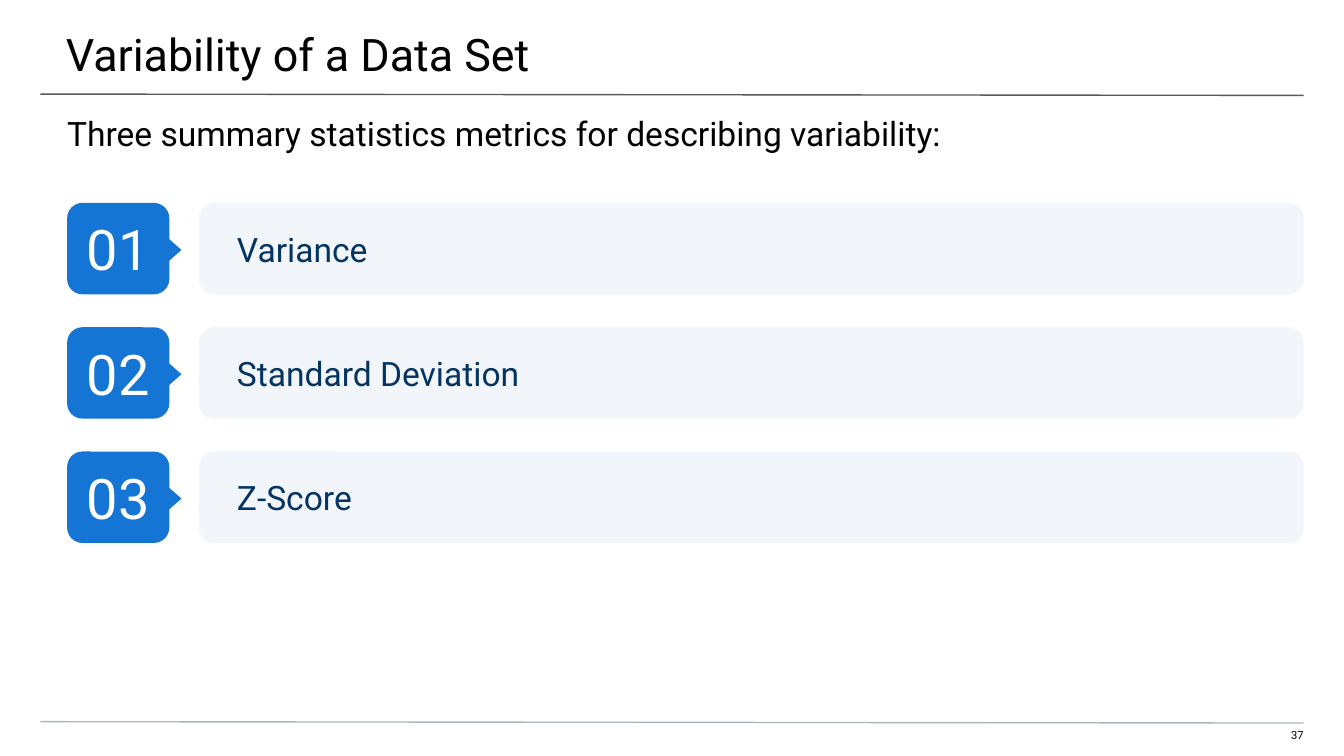
import pptx
import pptx.dml.color
import pptx.enum.shapes
import pptx.enum.text
import pptx.oxml.ns
import pptx.util
from lxml import etree

COLORS = {
    "black": "000000",
    "white": "FFFFFF",
    "title rule": "595959",
    "footer rule": "A9B7C0",
    "panel": "F2F5F9",
    "badge": "1475D4",
    "navy": "043461",
}
SHAPES = pptx.enum.shapes.MSO_SHAPE
ALIGN = pptx.enum.text.PP_ALIGN
ANCHOR = pptx.enum.text.MSO_ANCHOR
METRICS = ["Variance", "Standard Deviation", "Z-Score"]

# The grid has square cells, 100 columns by 56.25 rows.
COLUMNS, ROWS = 100, 56.25
LEFT, RIGHT = 5, 97
RULE_LEFT = 3
FIRST_ROW, ROW_STEP, ROW_HEIGHT = 15.1, 9.25, 6.8
BADGE_WIDTH = 7.6
PANEL_LEFT = 14.8
POINTER_LEFT, POINTER_WIDTH, POINTER_HEIGHT = 10.6, 3.7, 2.1


class SlideBuilder:
    font = "Roboto"
    cell = pptx.util.Inches(0.1)

    def __init__(self, presentation):
        presentation.slide_width = self.grid(COLUMNS)
        presentation.slide_height = self.grid(ROWS)
        self.slide = presentation.slides.add_slide(presentation.slide_layouts[6])

    def grid(self, cells):
        return pptx.util.Emu(round(cells * self.cell))

    def color(self, name):
        return pptx.dml.color.RGBColor.from_string(COLORS[name])

    def label(self, shape, text, size, color, insets, align=ALIGN.LEFT, anchor=ANCHOR.TOP):
        """Set styled text; insets are left, top, right, bottom in grid cells."""
        frame = shape.text_frame
        frame.word_wrap = True
        frame.vertical_anchor = anchor
        (frame.margin_left, frame.margin_top,
         frame.margin_right, frame.margin_bottom) = map(self.grid, insets)
        frame.text = text
        paragraph = frame.paragraphs[0]
        paragraph.alignment = align
        font = paragraph.runs[0].font
        font.name = self.font
        font.size = pptx.util.Pt(size)
        font.color.rgb = self.color(color)

    def text(self, box, text, size, insets, align=ALIGN.LEFT):
        shape = self.slide.shapes.add_textbox(*map(self.grid, box))
        self.label(shape, text, size, "black", insets, align)

    def rule(self, row, color):
        """Draw a full-width rule that drops slightly to the right."""
        ends = map(self.grid, (RULE_LEFT, row, RIGHT, row + 0.1))
        line = self.slide.shapes.add_connector(pptx.enum.shapes.MSO_CONNECTOR.STRAIGHT, *ends)
        line.line.color.rgb = self.color(color)
        line.line.width = pptx.util.Pt(0.75)
        etree.SubElement(line._element.spPr, pptx.oxml.ns.qn("a:effectLst"))

    def block(self, shapes, kind, box, color):
        shape = shapes.add_shape(kind, *map(self.grid, box))
        shape.shadow.inherit = False
        shape.fill.solid()
        shape.fill.fore_color.rgb = self.color(color)
        shape.line.fill.background()
        return shape

    def panel(self, top, text):
        box = (PANEL_LEFT, top, RIGHT - PANEL_LEFT, ROW_HEIGHT)
        shape = self.block(self.slide.shapes, SHAPES.ROUNDED_RECTANGLE, box, "panel")
        self.label(shape, text, 18, "navy", (2.5, 1, 1, 1), anchor=ANCHOR.MIDDLE)

    def badge(self, top, text):
        """Draw a numbered tile grouped with its pointer to the panel."""
        shapes = self.slide.shapes.add_group_shape().shapes
        tile = self.block(shapes, SHAPES.ROUNDED_RECTANGLE,
                          (LEFT, top, BADGE_WIDTH, ROW_HEIGHT), "badge")
        self.label(tile, text, 30, "white", (1, 1, 1, 1), ALIGN.CENTER, ANCHOR.MIDDLE)
        pointer_top = top + (ROW_HEIGHT - POINTER_HEIGHT) / 2 + 0.1
        pointer = self.block(shapes, SHAPES.FLOWCHART_EXTRACT,
                             (POINTER_LEFT, pointer_top, POINTER_WIDTH, POINTER_HEIGHT), "badge")
        pointer.rotation = 90


def main():
    presentation = pptx.Presentation()
    builder = SlideBuilder(presentation)
    builder.text((94.1, 54.2, 2.9, 1.2), "37", 6, (0, 0, 0, 1), ALIGN.RIGHT)
    builder.rule(7, "title rule")
    builder.rule(53.7, "footer rule")
    builder.text((0, 0, COLUMNS, 5.8), "Variability of a Data Set", 24, (4.9, 2, 3, 1))
    builder.text((0, 7.4, COLUMNS, 4),
                 "Three summary statistics metrics for describing variability:", 18, (5, 1, 5, 0))
    for index, metric in enumerate(METRICS):
        top = FIRST_ROW + index * ROW_STEP
        builder.panel(top, metric)
        builder.badge(top, f"{index + 1:02}")
    presentation.save("out.pptx")


if __name__ == "__main__":
    main()
